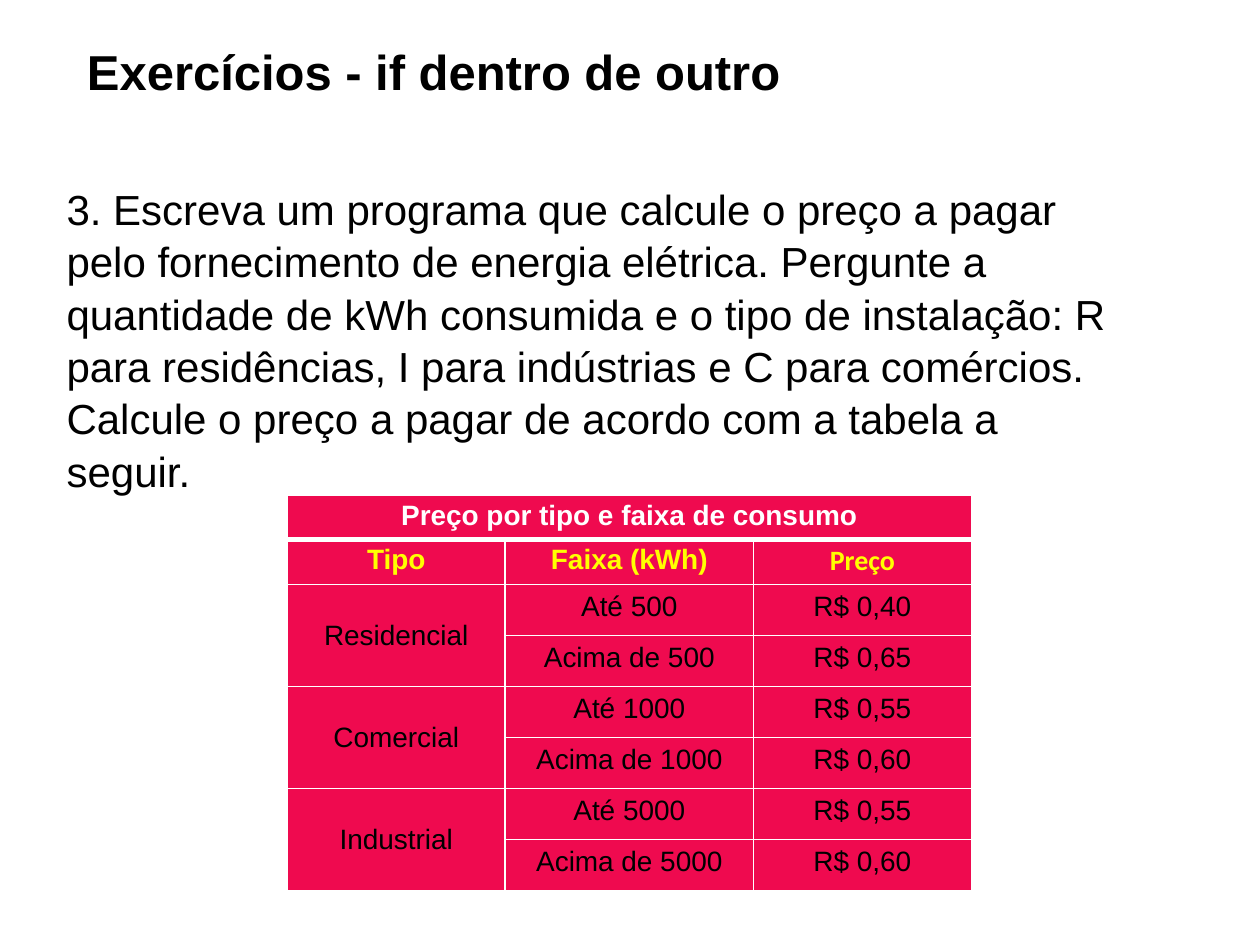
import pptx
import pptx.dml.color
import pptx.enum.text
import pptx.oxml
import pptx.oxml.ns
import pptx.util
from dataclasses import dataclass

Inches, Pt = pptx.util.Inches, pptx.util.Pt
ALIGN, ANCHOR = pptx.enum.text.PP_ALIGN, pptx.enum.text.MSO_ANCHOR


@dataclass(frozen=True)
class Theme:
    black: str = "000000"
    white: str = "FFFFFF"
    yellow: str = "FFFF00"
    pink: str = "EF0A4F"
    font: str = "Arial"
    alt_font: str = "Calibri"
    title: int = 28
    body: int = 24
    table: int = 16


theme = Theme()


def write(tf, text, size, color, bold=False, font=theme.font, align=ALIGN.LEFT):
    tf.text = text
    tf.word_wrap = True
    p = tf.paragraphs[0]
    p.alignment = align
    f = p.runs[0].font
    f.name, f.size, f.bold = font, Pt(size), bold
    f.color.rgb = pptx.dml.color.RGBColor.from_string(color)


def add_borders(cell, **widths):
    """Draw white cell borders; widths are in points, keyed by side."""
    tcPr = cell._tc.get_or_add_tcPr()
    for side in "LRTB":
        tcPr.append(pptx.oxml.parse_xml(
            f'<a:ln{side} {pptx.oxml.ns.nsdecls("a")} w="{Pt(widths.get(side, 1))}">'
            f'<a:solidFill><a:srgbClr val="{theme.white}"/></a:solidFill></a:ln{side}>'))


prs = pptx.Presentation()
prs.slide_width, prs.slide_height = Inches(10), Inches(7.5)
s = prs.slides.add_slide(prs.slide_layouts[5])

title = s.shapes.title
title.left, title.top = Inches(0.59), Inches(0.29)
title.width, title.height = Inches(7.72), Inches(0.55)
write(title.text_frame, "Exercícios - if dentro de outro", theme.title, theme.black, bold=True)
title.text_frame.vertical_anchor = ANCHOR.MIDDLE

exercise = s.shapes.add_textbox(Inches(0.43), Inches(1.39), Inches(8.66), Inches(5.67))
write(exercise.text_frame,
      "3. Escreva um programa que calcule o preço a pagar pelo fornecimento de energia "
      "elétrica. Pergunte a quantidade de kWh consumida e o tipo de instalação: R para "
      "residências, I para indústrias e C para comércios. Calcule o preço a pagar de "
      "acordo com a tabela a seguir.", theme.body, theme.black)
exercise.text_frame.margin_right = Inches(0.15)
exercise.text_frame.paragraphs[0].line_spacing = 1.04

rows = [
    ("Preço por tipo e faixa de consumo", "", ""),
    ("Tipo", "Faixa (kWh)", "Preço"),
    ("Residencial", "Até 500", "R$ 0,40"),
    ("", "Acima de 500", "R$ 0,65"),
    ("Comercial", "Até 1000", "R$ 0,55"),
    ("", "Acima de 1000", "R$ 0,60"),
    ("Industrial", "Até 5000", "R$ 0,55"),
    ("", "Acima de 5000", "R$ 0,60"),
]
widths = (1.73, 1.97, 1.73)
heights = [0.35, 0.36] + [0.405] * 6
table = s.shapes.add_table(len(rows), len(widths), Inches(2.28), Inches(3.93),
                           Inches(sum(widths)), Inches(sum(heights))).table
for column, width in zip(table.columns, widths):
    column.width = Inches(width)
for row, height in zip(table.rows, heights):
    row.height = Inches(height)

table.cell(0, 0).merge(table.cell(0, 2))
for top in range(2, len(rows), 2):
    table.cell(top, 0).merge(table.cell(top + 1, 0))

for i, row in enumerate(rows):
    color = (theme.white, theme.yellow)[i] if i < 2 else theme.black
    for j, text in enumerate(row):
        cell = table.cell(i, j)
        add_borders(cell, B=3 if i == 0 else 1, T=3 if i == 1 else 1)
        cell.fill.solid()
        cell.fill.fore_color.rgb = pptx.dml.color.RGBColor.from_string(theme.pink)
        cell.margin_top = cell.margin_bottom = Inches(0.04 if i < 2 else 0.05)
        cell.vertical_anchor = ANCHOR.MIDDLE if i >= 2 and j == 0 else ANCHOR.TOP
        if text:
            font = theme.alt_font if text == "Preço" else theme.font
            write(cell.text_frame, text, theme.table, color, i < 2, font, ALIGN.CENTER)

prs.save("out.pptx")
